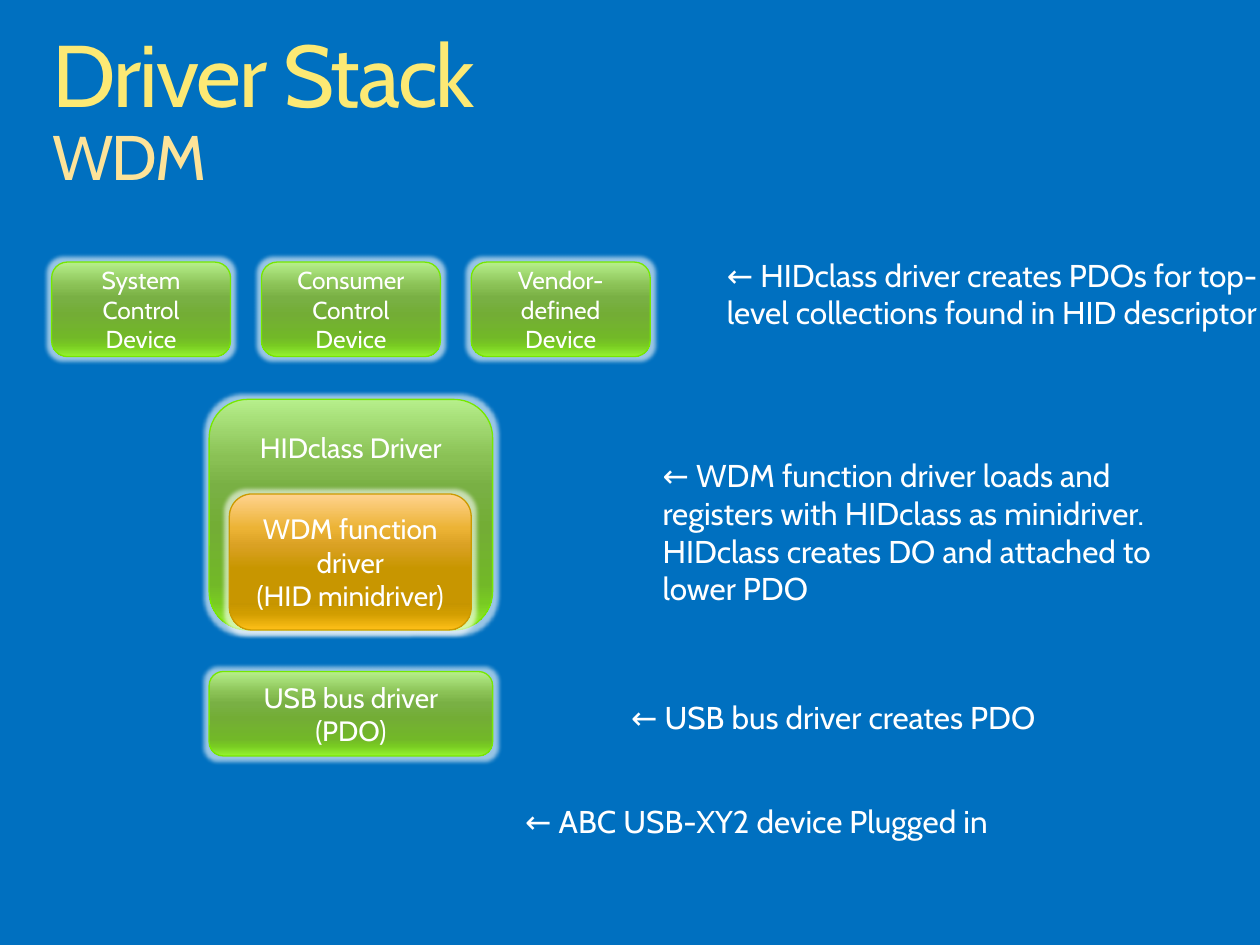
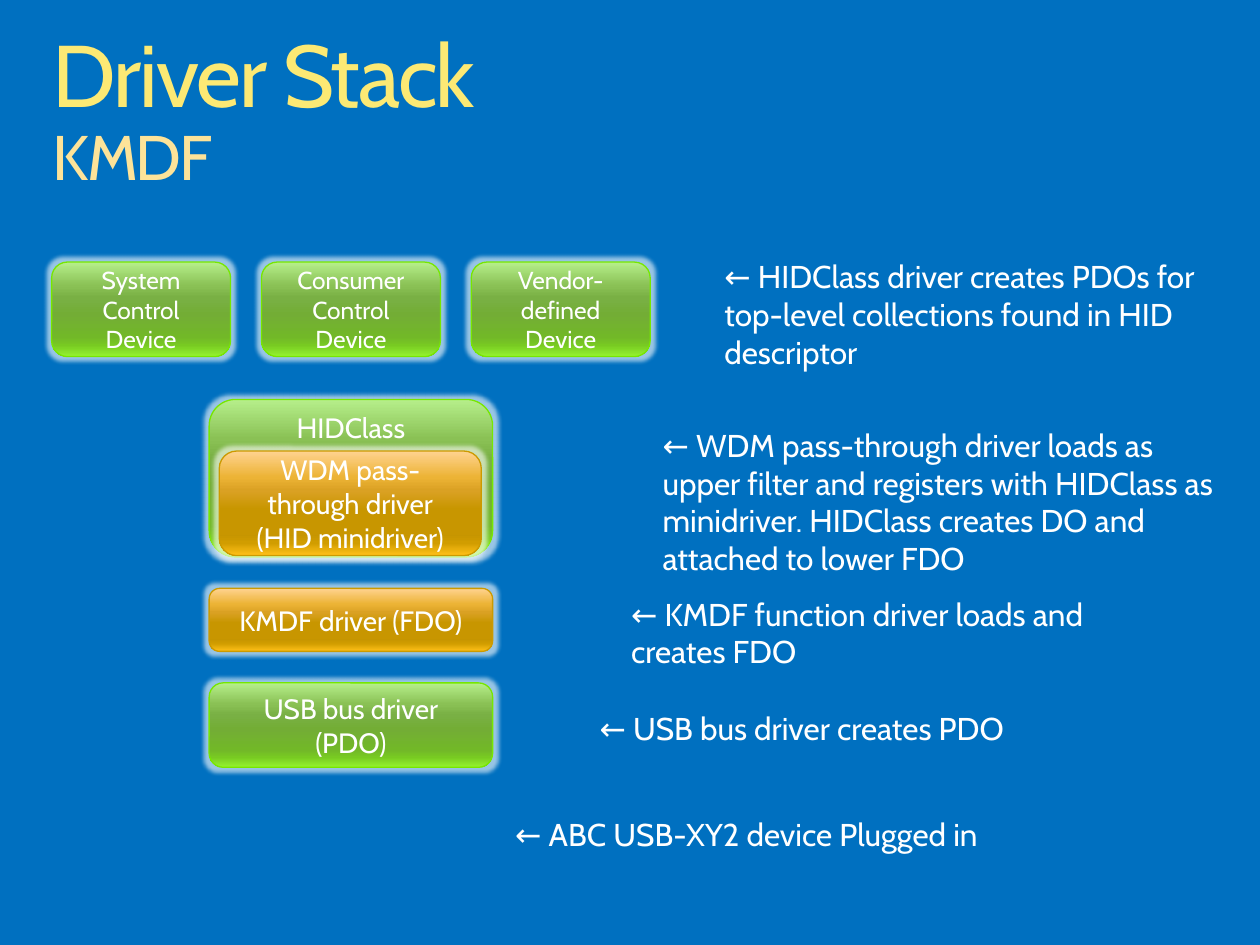
"""Build two driver stack slides, one for WDM and one for KMDF."""
from lxml.etree import SubElement
from pptx import Presentation
from pptx.dml.color import RGBColor
from pptx.enum.shapes import MSO_SHAPE as Shape
from pptx.enum.text import MSO_ANCHOR as Anchor, PP_ALIGN as Align
from pptx.oxml.ns import qn
from pptx.util import Inches, Pt

FONT = "Cabin"
BACKGROUND, WHITE = "0070C0", "FFFFFF"
TITLE_COLOR, SUBTITLE_COLOR = "FCE974", "FDE399"
STOPS = (0, 25, 38, 55, 80, 88, 100)
GREEN = ("77E700", ("B6EF8B", "8AC155", "79B044", "73AD35", "72B828", "78CA22", "94F32F"))
ORANGE = ("CC9A00", ("FFD390", "ECB335", "DAA123", "C89600", "C69500", "D19D00", "FFC018"))

STACK_LEFT, STACK_WIDTH = 1.66, 2.25
DEVICES = ("System Control Device", "Consumer Control Device", "Vendor-defined Device")
BUS_DRIVER = "USB bus driver (PDO)"
BUS_NOTE = "← USB bus driver creates PDO"
PLUG_NOTE = "← ABC USB-XY2 device Plugged in"

SLIDES = [
    {
        "subtitle": "WDM",
        "boxes": [
            ((STACK_LEFT, 3.17, STACK_WIDTH, 1.83), "HIDclass Driver", GREEN,
             {"anchor": Anchor.TOP, "top": 0.16}),
            ((1.82, 3.92, 1.92, 1.08), "WDM function driver\n(HID minidriver)", ORANGE, {}),
            ((STACK_LEFT, 5.33, STACK_WIDTH, 0.67), BUS_DRIVER, GREEN, {}),
        ],
        "notes": [
            ((5.67, 1.98, 4.43, 1.01),
             "← HIDclass driver creates PDOs for top-level collections found in HID descriptor"),
            ((5.16, 3.57, 4.58, 1.31),
             "← WDM function driver loads and registers with HIDclass as minidriver. "
             "HIDclass creates DO and attached to lower PDO"),
            ((4.91, 5.49, 4.08, 0.4), BUS_NOTE),
            ((4.07, 6.32, 4.33, 0.4), PLUG_NOTE),
        ],
    },
    {
        "subtitle": "KMDF",
        "boxes": [
            ((STACK_LEFT, 3.17, STACK_WIDTH, 1.25), "HIDClass", GREEN,
             {"anchor": Anchor.TOP, "top": 0.03}),
            ((1.74, 3.58, 2.08, 0.83), "WDM pass-through driver\n(HID minidriver)", ORANGE, {}),
            ((STACK_LEFT, 4.67, STACK_WIDTH, 0.5), "KMDF driver (FDO)", ORANGE, {}),
            ((STACK_LEFT, 5.42, STACK_WIDTH, 0.67), BUS_DRIVER, GREEN, {}),
        ],
        "notes": [
            ((5.65, 1.99, 4.42, 1.01),
             "← HIDClass driver creates PDOs for top-level collections found in HID descriptor"),
            ((5.16, 3.33, 4.58, 1.31),
             "← WDM pass-through driver loads as upper filter and registers with HIDClass "
             "as minidriver. HIDClass creates DO and attached to lower FDO"),
            ((4.91, 4.67, 4.58, 0.71), "← KMDF function driver loads and creates FDO"),
            ((4.66, 5.58, 4.08, 0.4), BUS_NOTE),
            ((3.99, 6.42, 4.33, 0.4), PLUG_NOTE),
        ],
    },
]


def write(shape, text, size=18, color=WHITE, align=Align.LEFT, anchor=Anchor.TOP,
          side=0.1, top=0.05, bottom=0.05):
    """Fill a shape with formatted text and return its paragraphs."""
    frame = shape.text_frame
    frame.word_wrap = True
    frame.vertical_anchor = anchor
    frame.margin_left = frame.margin_right = Inches(side)
    frame.margin_top, frame.margin_bottom = Inches(top), Inches(bottom)
    frame.text = text
    for para in frame.paragraphs:
        para.alignment = align
        for span in para.runs:
            span.font.name = FONT
            span.font.size = Pt(size)
            span.font.color.rgb = RGBColor.from_string(color)
    return frame.paragraphs


def add_box(page, place, text, palette, size=16, **layout):
    """Add a glowing rounded box with a vertical gradient."""
    line_color, shades = palette
    box = page.shapes.add_shape(Shape.ROUNDED_RECTANGLE, *map(Inches, place))
    box.line.color.rgb = RGBColor.from_string(line_color)
    box.line.width = Pt(0.75)
    box.fill.gradient()
    box.fill.gradient_angle = 270
    properties = box._element.spPr
    stop_list = properties.find(".//" + qn("a:gsLst"))
    stop_list.clear()
    for stop, shade in zip(STOPS, shades):
        mark = SubElement(stop_list, qn("a:gs"), pos=str(stop * 1000))
        SubElement(mark, qn("a:srgbClr"), val=shade)
    box.shadow.inherit = False
    glow = SubElement(properties.find(qn("a:effectLst")), qn("a:glow"), rad=str(Pt(5)))
    glow_color = SubElement(glow, qn("a:srgbClr"), val=WHITE)
    SubElement(glow_color, qn("a:alpha"), val="60000")
    write(box, text, size=size, align=Align.CENTER, **{"anchor": Anchor.MIDDLE, **layout})


deck = Presentation()
deck.slide_width, deck.slide_height = Inches(10), Inches(7.5)

for content in SLIDES:
    page = deck.slides.add_slide(deck.slide_layouts[6])
    page.background.fill.solid()
    page.background.fill.fore_color.rgb = RGBColor.from_string(BACKGROUND)

    title = page.shapes.add_textbox(*map(Inches, (0.42, 0.25, 9.16, 1.3)))
    heading = write(title, "Driver Stack\v" + content["subtitle"], size=50,
                    color=TITLE_COLOR, side=0, top=0, bottom=0)[0]
    heading.line_spacing = 0.9
    for span in heading.runs:
        span.font._element.set("spc", "-120")
    subtitle = heading.runs[1].font
    subtitle.size = Pt(36)
    subtitle.color.rgb = RGBColor.from_string(SUBTITLE_COLOR)

    for column, device in enumerate(DEVICES):
        add_box(page, (0.41 + column * 1.665, 2.08, 1.42, 0.75), device, GREEN,
                size=14, side=0.12, top=0.06, bottom=0.06)
    for place, text, palette, layout in content["boxes"]:
        add_box(page, place, text, palette, **layout)
    for place, text in content["notes"]:
        write(page.shapes.add_textbox(*map(Inches, place)), text)

deck.save("out.pptx")
